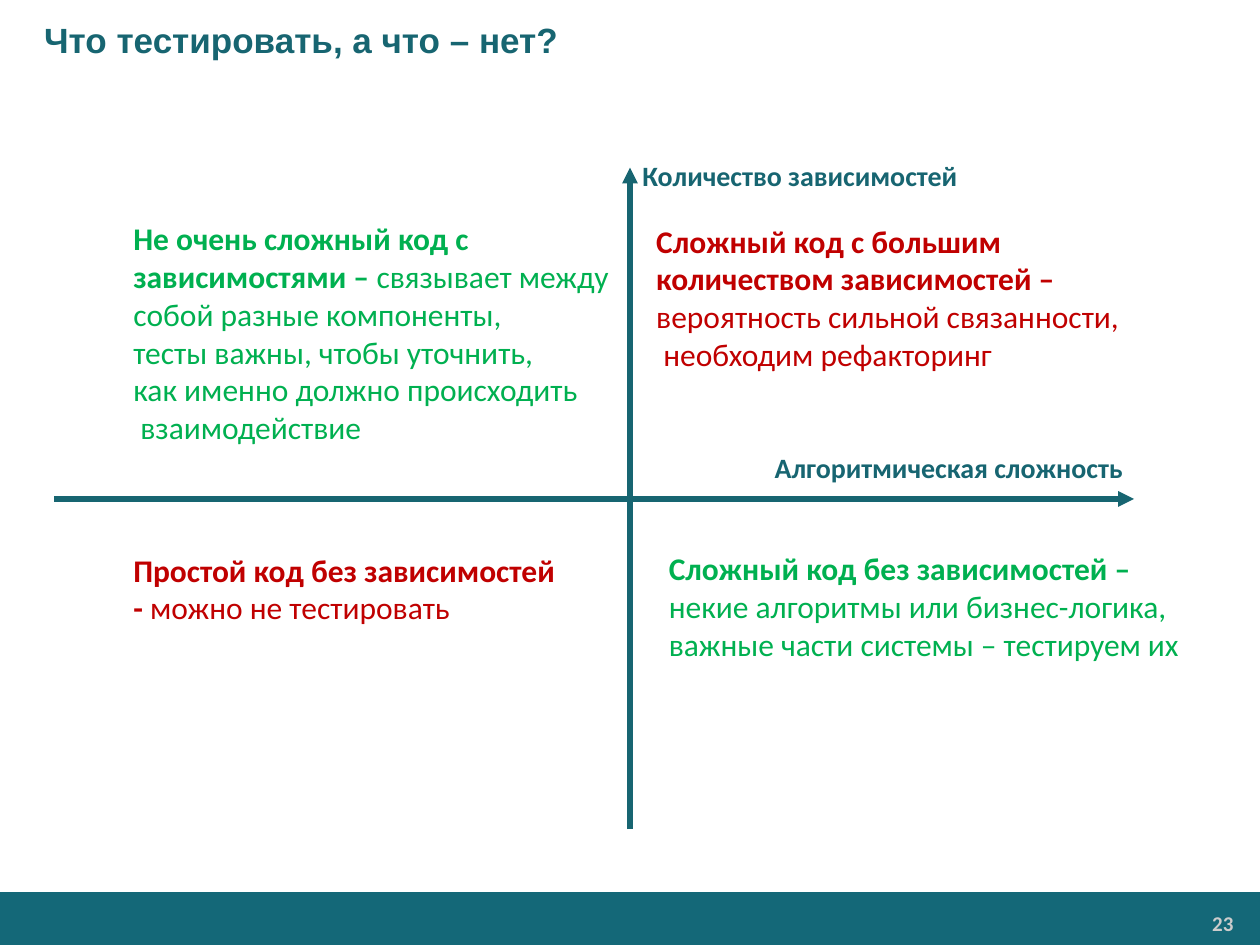
from lxml.etree import SubElement
from pptx import Presentation
from pptx.dml.color import RGBColor
from pptx.enum.shapes import MSO_CONNECTOR, MSO_SHAPE
from pptx.enum.text import MSO_ANCHOR, PP_ALIGN
from pptx.oxml.ns import qn
from pptx.util import Inches, Pt

COLORS = {
    "band": "146878",
    "axis": "176571",
    "number": "CCCCCC",
    "skip": "C00000",
    "test": "00B050",
}

AXIS_LABELS = [
    ("Количество зависимостей", (5, 1.21, 2.73, 0.37)),
    ("Алгоритмическая сложность", (6.05, 3.53, 3, 0.37)),
]

QUADRANTS = [
    ("skip", (0.96, 4.32, 3.63, 0.71), [
        ("Простой код без зависимостей", ""),
        ("- ", "можно не тестировать"),
    ]),
    ("test", (0.96, 1.69, 4.07, 1.92), [
        ("Не очень сложный код с", ""),
        ("зависимостями – ", "связывает между"),
        ("", "собой разные компоненты,"),
        ("", "тесты важны, чтобы уточнить,"),
        ("", "как именно должно происходить"),
        ("", " взаимодействие"),
    ]),
    ("skip", (5.11, 1.71, 4.51, 1.31), [
        ("Сложный код с большим", ""),
        ("количеством зависимостей –", ""),
        ("", "вероятность сильной связанности,"),
        ("", " необходим рефакторинг"),
    ]),
    ("test", (5.21, 4.31, 4.3, 1.01), [
        ("Сложный код без зависимостей –", ""),
        ("", "некие алгоритмы или бизнес-логика,"),
        ("", "важные части системы – тестируем их"),
    ]),
]


def rgb(name):
    return RGBColor.from_string(COLORS[name])


def set_values(target, values):
    for name, value in values.items():
        setattr(target, name, value)


def add_span(para, text, color, size, bold=True, font="Calibri"):
    span = para.add_run()
    span.text = text
    set_values(span.font, {"name": font, "size": Pt(size), "bold": bold})
    span.font.color.rgb = rgb(color)


def add_text(slide, place, lines, color, size, align=PP_ALIGN.LEFT, wrap=False):
    box = slide.shapes.add_textbox(*map(Inches, place))
    frame = box.text_frame
    frame.word_wrap = wrap
    for index, line in enumerate(lines):
        para = frame.add_paragraph() if index else frame.paragraphs[0]
        para.alignment = align
        for text, bold in zip(line, (True, False)):
            if text:
                add_span(para, text, color, size, bold)
    return box


def add_title(slide, text):
    title = slide.shapes.title
    set_values(title, {"left": 0, "top": 0, "width": Inches(10), "height": Inches(0.63)})
    set_values(title.text_frame, {
        "vertical_anchor": MSO_ANCHOR.MIDDLE,
        "margin_left": Inches(0.35),
    })
    para = title.text_frame.paragraphs[0]
    para.alignment = PP_ALIGN.LEFT
    add_span(para, text, "axis", 20, font="Arial")


def add_axis(slide, start, end):
    axis = slide.shapes.add_connector(MSO_CONNECTOR.STRAIGHT, *map(Inches, start + end))
    axis.line.width = Pt(3)
    axis.line.color.rgb = rgb("axis")
    properties = axis.line._get_or_add_ln()
    SubElement(properties, qn("a:tailEnd"), type="triangle")
    SubElement(properties.getparent(), qn("a:effectLst"))


def add_footer(slide, number):
    band = slide.shapes.add_shape(
        MSO_SHAPE.RECTANGLE, 0, Inches(7.08), Inches(10), Inches(0.42))
    band.shadow.inherit = False
    band.fill.solid()
    band.fill.fore_color.rgb = rgb("band")
    band.line.fill.background()
    box = add_text(slide, (8.23, 7.19, 1.63, 0.28), [(number, "")],
                   "number", 12, PP_ALIGN.RIGHT, True)
    set_values(box.text_frame, {
        "margin_left": Inches(0.07),
        "margin_right": Inches(0.07),
        "margin_top": Inches(0.04),
        "margin_bottom": Inches(0.04),
    })


def main():
    deck = Presentation()
    set_values(deck, {"slide_width": Inches(10), "slide_height": Inches(7.5)})
    slide = deck.slides.add_slide(deck.slide_layouts.get_by_name("Title Only"))
    add_footer(slide, "23")
    add_title(slide, "Что тестировать, а что – нет?")
    add_axis(slide, (0.43, 3.96), (9, 3.96))
    add_axis(slide, (5, 6.58), (5, 1.33))
    for text, place in AXIS_LABELS:
        add_text(slide, place, [(text, "")], "axis", 16)
    for color, place, lines in QUADRANTS:
        add_text(slide, place, lines, color, 18)
    deck.save("out.pptx")


if __name__ == "__main__":
    main()
